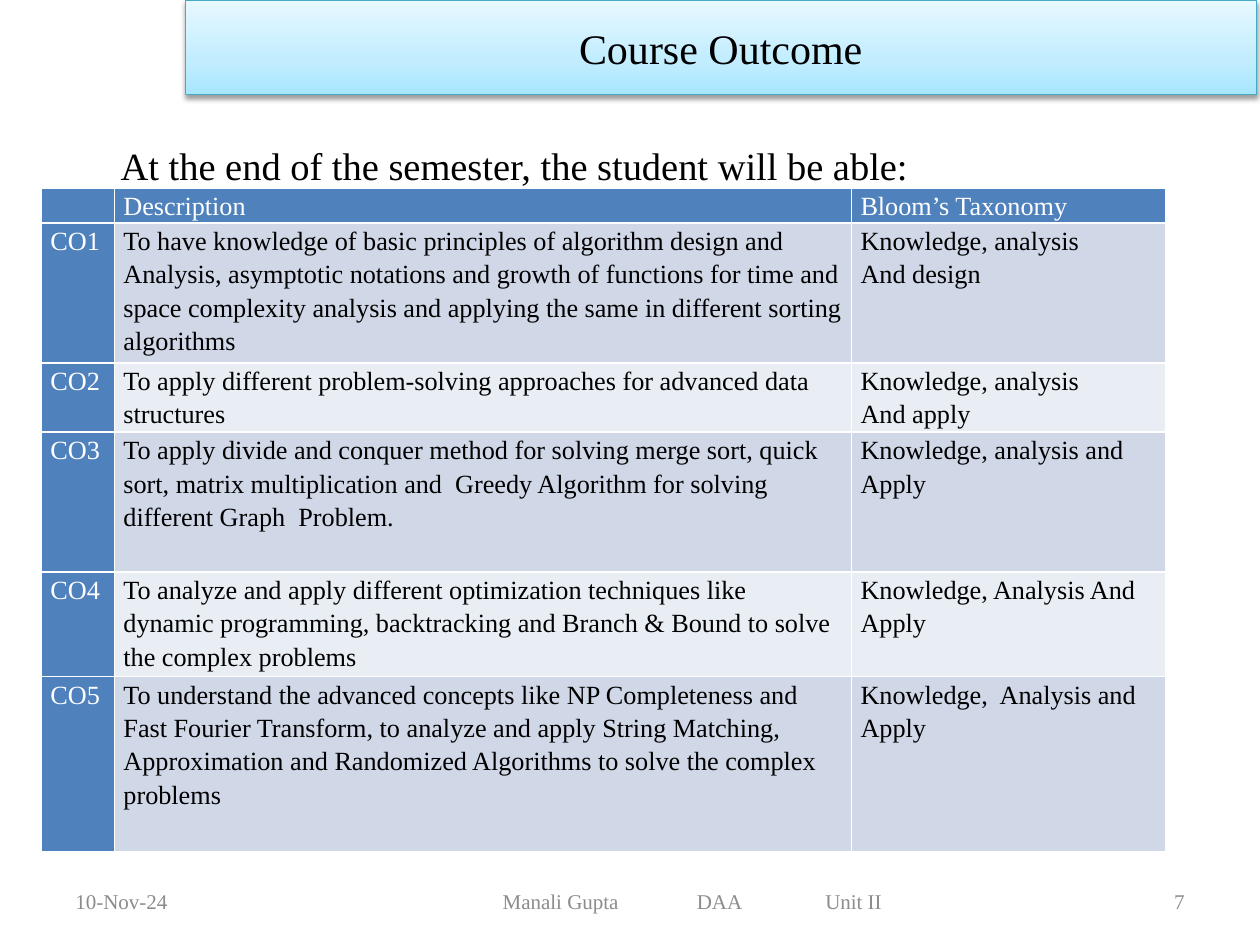
from lxml import etree
from pptx import Presentation
from pptx.dml.color import RGBColor
from pptx.enum import text
from pptx.oxml import parse_xml
from pptx.oxml.ns import nsdecls, qn
from pptx.util import Inches, Pt

FONT = "Times New Roman"
BLUE, WHITE, BLACK, GREY = "4F81BD", "FFFFFF", "000000", "8C8C8C"
BANDS = ("D0D8E8", "E9EDF4")
LEFT, CENTER, RIGHT = text.PP_ALIGN.LEFT, text.PP_ALIGN.CENTER, text.PP_ALIGN.RIGHT

COLUMN_WIDTHS = (0.58, 5.85, 2.49)
ROW_HEIGHTS = (0.28, 1.11, 0.55, 1.11, 0.83, 1.39)
OUTCOMES = [
    ("", "Description", "Bloom’s Taxonomy"),
    ("CO1", "To have knowledge of basic principles of algorithm design and Analysis, "
     "asymptotic notations and growth of functions for time and space complexity "
     "analysis and applying the same in different sorting algorithms",
     "Knowledge, analysis\nAnd design"),
    ("CO2", "To apply different problem-solving approaches for advanced data structures",
     "Knowledge, analysis\nAnd apply"),
    ("CO3", "To apply divide and conquer method for solving merge sort, quick sort, "
     "matrix multiplication and  Greedy Algorithm for solving different Graph  Problem.",
     "Knowledge, analysis and Apply"),
    ("CO4", "To analyze and apply different optimization techniques like dynamic "
     "programming, backtracking and Branch & Bound to solve the complex problems",
     "Knowledge, Analysis And Apply"),
    ("CO5", "To understand the advanced concepts like NP Completeness and Fast Fourier "
     "Transform, to analyze and apply String Matching, Approximation and Randomized "
     "Algorithms to solve the complex problems",
     "Knowledge,  Analysis and Apply"),
]


def rgb(value):
    return RGBColor.from_string(value)


def set_all(target, values):
    for name, value in values.items():
        setattr(target, name, value)


def write(frame, words, size, color, **paragraph_format):
    frame.text = words
    for paragraph in frame.paragraphs:
        set_all(paragraph, paragraph_format)
        for run in paragraph.runs:
            set_all(run.font, {"name": FONT, "size": Pt(size)})
            run.font.color.rgb = rgb(color)


def add_text(slide, box, words, size, color, anchor=text.MSO_ANCHOR.TOP, **paragraph_format):
    frame = slide.shapes.add_textbox(*map(Inches, box)).text_frame
    set_all(frame, {"word_wrap": True, "vertical_anchor": anchor})
    write(frame, words, size, color, **paragraph_format)
    return frame


def add_title(slide, box, words):
    """Title bar with a vertical gradient and a soft shadow."""
    title = slide.shapes.title
    set_all(title, dict(zip(("left", "top", "width", "height"), map(Inches, box))))
    set_all(title.text_frame, {"word_wrap": True, "auto_size": text.MSO_AUTO_SIZE.NONE,
                               "vertical_anchor": text.MSO_ANCHOR.MIDDLE})
    write(title.text_frame, words, 24, BLACK, alignment=CENTER)
    stops = "".join(f'<a:gs pos="{position * 1000}"><a:srgbClr val="{color}"/></a:gs>'
                    for position, color in ((0, "A7E6FF"), (35, "C1EDFF"), (100, "E7F8FF")))
    properties = title._element.spPr
    etree.SubElement(properties, qn("a:prstGeom"), prst="rect")
    properties.append(parse_xml(
        f'<a:gradFill {nsdecls("a")} rotWithShape="1"><a:gsLst>{stops}</a:gsLst>'
        '<a:lin ang="16200000" scaled="0"/></a:gradFill>'))
    title.line.color.rgb = rgb("46AAC5")
    title.line.width = Pt(0.75)
    properties.append(parse_xml(
        f'<a:effectLst {nsdecls("a")}><a:outerShdw blurRad="{Pt(3.1)}" dist="{Pt(1.6)}" '
        f'dir="5400000" rotWithShape="0"><a:srgbClr val="{BLACK}"><a:alpha val="38000"/>'
        '</a:srgbClr></a:outerShdw></a:effectLst>'))


def add_borders(cell, color):
    properties = cell._tc.get_or_add_tcPr()
    for index, side in enumerate(("lnL", "lnR", "lnT", "lnB")):
        properties.insert(index, parse_xml(
            f'<a:{side} {nsdecls("a")} w="{Pt(1)}"><a:solidFill>'
            f'<a:srgbClr val="{color}"/></a:solidFill></a:{side}>'))


def add_outcome_table(slide, box):
    table = slide.shapes.add_table(len(OUTCOMES), len(COLUMN_WIDTHS),
                                   *map(Inches, box)).table
    for column, width in zip(table.columns, COLUMN_WIDTHS):
        column.width = Inches(width)
    for row, height in zip(table.rows, ROW_HEIGHTS):
        row.height = Inches(height)
    margins = {"margin_left": Inches(0.07), "margin_right": Inches(0.07),
               "margin_top": 0, "margin_bottom": 0}
    for i, values in enumerate(OUTCOMES):
        for j, words in enumerate(values):
            cell = table.cell(i, j)
            heading = i == 0 or j == 0
            set_all(cell, margins)
            write(cell.text_frame, words, 15, WHITE if heading else BLACK, line_spacing=1.15)
            for paragraph in cell.text_frame.paragraphs:
                for run in paragraph.runs:
                    run.font.bold = False
            if not words:  # keeps the empty cell from stretching its row
                etree.SubElement(cell.text_frame.paragraphs[0]._p,
                                 qn("a:endParaRPr"), sz="1500")
            cell.fill.solid()
            cell.fill.fore_color.rgb = rgb(BLUE if heading else BANDS[(i - 1) % 2])
            add_borders(cell, WHITE)


def add_footer(slide, box):
    left, top, width, height = box
    side = 2.33
    style = {"size": 12, "color": GREY, "anchor": text.MSO_ANCHOR.MIDDLE}
    add_text(slide, (left, top, side, height), "10-Nov-24", alignment=LEFT, **style)
    add_text(slide, (left + width - side, top, side, height), "7", alignment=RIGHT, **style)
    course = add_text(slide, (left + 2.25, top, 5.5, height),
                      "Manali Gupta\tDAA\tUnit II", alignment=LEFT, **style)
    course.margin_left = Inches(1.24)
    tabs = etree.SubElement(course.paragraphs[0]._p.get_or_add_pPr(), qn("a:tabLst"))
    for position in (1.54, 2.56):
        etree.SubElement(tabs, qn("a:tab"), pos=str(Inches(position)), algn="l")


def main():
    presentation = Presentation()
    presentation.slide_width, presentation.slide_height = Inches(10), Inches(7.5)
    slide = presentation.slides.add_slide(presentation.slide_layouts[5])
    add_title(slide, (1.47, 0, 8.5, 0.75), "Course Outcome")
    add_outcome_table(slide, (0.33, 1.49, sum(COLUMN_WIDTHS), sum(ROW_HEIGHTS)))
    add_footer(slide, (0.5, 6.95, 9, 0.4))
    add_text(slide, (0.86, 1.02, 8.5, 0.5),
             "At the end of the semester, the student will be able:", 22, BLACK,
             line_spacing=1.15, space_after=Pt(10))
    presentation.save("out.pptx")


if __name__ == "__main__":
    main()
